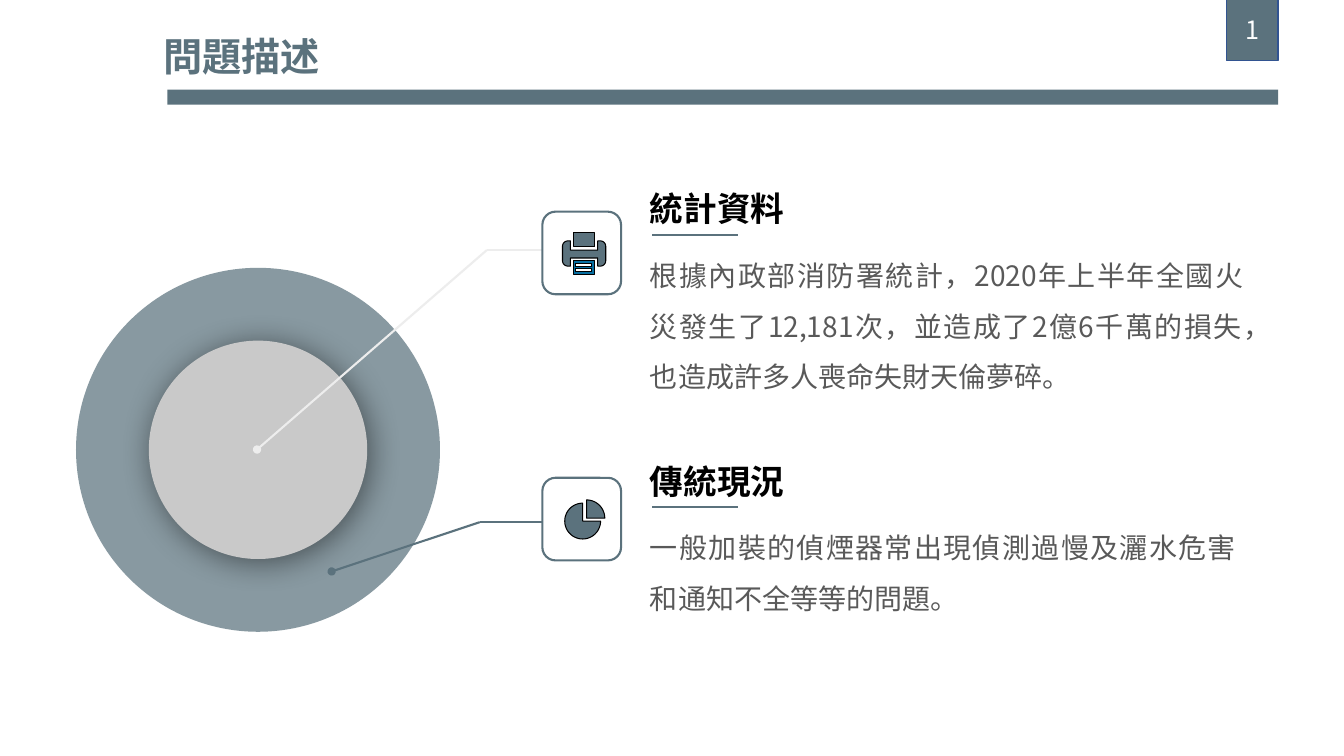
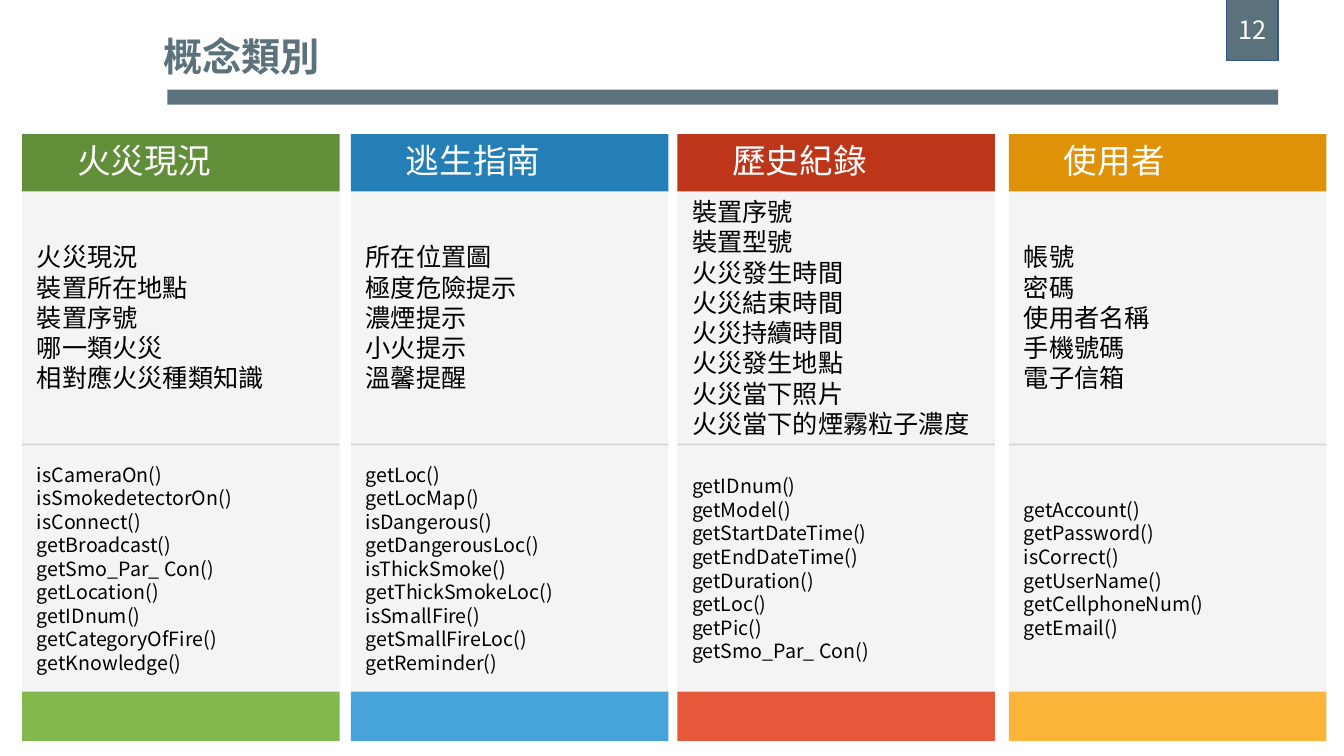
"""Build a problem description slide and a concept class slide."""
import math

import lxml.etree
import pptx
import pptx.dml.color
import pptx.enum.shapes
import pptx.enum.text
import pptx.oxml.ns
import pptx.util

FONT = "Noto Sans CJK SC"
SLATE = pptx.dml.color.RGBColor(0x5B, 0x72, 0x7D)
NAVY = pptx.dml.color.RGBColor(0x32, 0x54, 0x91)
BLUE = pptx.dml.color.RGBColor(0x07, 0x6E, 0xA1)
BLACK = pptx.dml.color.RGBColor(0x00, 0x00, 0x00)
WHITE = pptx.dml.color.RGBColor(0xFF, 0xFF, 0xFF)
BODY_GRAY = pptx.dml.color.RGBColor(0x59, 0x59, 0x59)
DISC_GRAY = pptx.dml.color.RGBColor(0xC9, 0xC9, 0xC9)
RULE_GRAY = pptx.dml.color.RGBColor(0xD6, 0xD6, 0xD6)
PALE_GRAY = pptx.dml.color.RGBColor(0xED, 0xED, 0xED)
PANEL_GRAY = pptx.dml.color.RGBColor(0xF4, 0xF4, 0xF4)
GREEN_DARK = pptx.dml.color.RGBColor(0x61, 0x8E, 0x38)
GREEN = pptx.dml.color.RGBColor(0x81, 0xB9, 0x4F)
SKY_DARK = pptx.dml.color.RGBColor(0x23, 0x7F, 0xB5)
SKY = pptx.dml.color.RGBColor(0x46, 0xA4, 0xDB)
RED_DARK = pptx.dml.color.RGBColor(0xBE, 0x36, 0x19)
RED = pptx.dml.color.RGBColor(0xE5, 0x58, 0x3A)
AMBER_DARK = pptx.dml.color.RGBColor(0xDF, 0x91, 0x07)
AMBER = pptx.dml.color.RGBColor(0xF9, 0xB4, 0x39)

Pt = pptx.util.Pt
qn = pptx.oxml.ns.qn
KIND = pptx.enum.shapes.MSO_SHAPE
ALIGN = pptx.enum.text.PP_ALIGN
ANCHOR = pptx.enum.text.MSO_ANCHOR


def style_shape(shape, fill=None, line=None, width=0.75):
    shape.shadow.inherit = False
    if fill is None:
        shape.fill.background()
    else:
        shape.fill.solid()
        shape.fill.fore_color.rgb = fill
    if line is None:
        shape.line.fill.background()
    else:
        shape.line.color.rgb = line
        shape.line.width = Pt(width)
    return shape


def write_text(shape, text, size, color, bold=False, align=ALIGN.LEFT,
               anchor=ANCHOR.TOP, spacing=None, margin=None, wrap=True):
    frame = shape.text_frame
    frame.word_wrap = wrap
    frame.vertical_anchor = anchor
    if margin is not None:
        frame.margin_left = frame.margin_right = Pt(margin)
        frame.margin_top = frame.margin_bottom = Pt(margin)
    for index, content in enumerate(text.split("\n")):
        paragraph = frame.add_paragraph() if index else frame.paragraphs[0]
        paragraph.alignment = align
        if spacing:
            paragraph.line_spacing = spacing
        run = paragraph.add_run()
        run.text = content
        run.font.size = Pt(size)
        run.font.bold = bold
        run.font.color.rgb = color
        run.font.name = FONT
        lxml.etree.SubElement(run._r.get_or_add_rPr(), qn("a:ea"), typeface=FONT)


presentation = pptx.Presentation()
presentation.slide_width = Pt(960)
presentation.slide_height = Pt(540)

slides = []
for title, number in (("問題描述", "1"), ("概念類別", "12")):
    slide = presentation.slides.add_slide(presentation.slide_layouts[6])
    slides.append(slide)
    band = slide.shapes.add_shape(KIND.RECTANGLE, Pt(119.5), Pt(64), Pt(793.5), Pt(10.8))
    style_shape(band, SLATE)
    title_box = slide.shapes.add_textbox(Pt(109.7), Pt(19.4), Pt(127.5), Pt(41))
    write_text(title_box, title, 28, SLATE, bold=True, wrap=False)
    badge = slide.shapes.add_shape(KIND.RECTANGLE, Pt(876.2), Pt(-0.7), Pt(36.8), Pt(44))
    style_shape(badge, SLATE, NAVY, 1)
    write_text(badge, number, 18, WHITE, align=ALIGN.CENTER, anchor=ANCHOR.MIDDLE)

problem_slide, class_slide = slides
shapes = problem_slide.shapes

outer_disc = shapes.add_shape(KIND.OVAL, Pt(54.3), Pt(191.3), Pt(260), Pt(260))
style_shape(outer_disc, SLATE)
disc_color = outer_disc._element.spPr.find(qn("a:solidFill"))[0]
lxml.etree.SubElement(disc_color, qn("a:alpha"), val="72000")

inner_disc = shapes.add_shape(KIND.OVAL, Pt(106.3), Pt(243.3), Pt(156), Pt(156))
style_shape(inner_disc, DISC_GRAY)
disc_shadow = lxml.etree.SubElement(
    inner_disc._element.spPr.find(qn("a:effectLst")), qn("a:outerShdw"),
    blurRad=str(Pt(23)), dist=str(Pt(3)), dir="2700000", algn="tl", rotWithShape="0")
shadow_color = lxml.etree.SubElement(disc_shadow, qn("a:srgbClr"), val="000000")
lxml.etree.SubElement(shadow_color, qn("a:alpha"), val="48000")

lines = (
    ((347.8, 178.6), (387.4, 178.6), PALE_GRAY, 1.5, False),
    ((347.8, 178.6), (183.6, 321.1), PALE_GRAY, 1.5, True),
    ((342.7, 373), (387.4, 373), SLATE, 1.5, False),
    ((342.7, 373), (236.9, 408.2), SLATE, 1.5, True),
    ((465.8, 167.8), (527, 167.8), SLATE, 1.75, False),
    ((465.8, 362.2), (527, 362.2), SLATE, 1.75, False),
)
for start, end, color, width, has_dot in lines:
    connector = shapes.add_connector(pptx.enum.shapes.MSO_CONNECTOR.STRAIGHT,
                                     *map(Pt, start + end))
    connector.line.color.rgb = color
    connector.line.width = Pt(width)
    if has_dot:
        lxml.etree.SubElement(connector.line._get_or_add_ln(), qn("a:tailEnd"), type="oval")
    lxml.etree.SubElement(connector._element.spPr, qn("a:effectLst"))

topics = (
    (131, 151.2, "統計資料",
     "根據內政部消防署統計，2020年上半年全國火災發生了12,181次，並造成了2億6千萬的損失，"
     "也造成許多人喪命失財天倫夢碎。", 437.8, 112.3),
    (325.4, 341.3, "傳統現況",
     "一般加裝的偵煙器常出現偵測過慢及灑水危害和通知不全等等的問題。", 432.7, 75.6),
)
for top, frame_top, heading, body, body_width, body_height in topics:
    icon_frame = shapes.add_shape(KIND.ROUNDED_RECTANGLE, Pt(387.4), Pt(frame_top),
                                  Pt(56.2), Pt(59))
    style_shape(icon_frame, line=SLATE, width=1.5)
    heading_box = shapes.add_textbox(Pt(457.2), Pt(top), Pt(164.2), Pt(36))
    write_text(heading_box, heading, 24, BLACK, bold=True, align=ALIGN.JUSTIFY)
    body_box = shapes.add_textbox(Pt(457.2), Pt(top + 38.2), Pt(body_width), Pt(body_height))
    write_text(body_box, body, 20, BODY_GRAY, align=ALIGN.JUSTIFY, spacing=1.5)

arc_settings = (
    (428.8, 176, 3.9, -90, 0), (428.8, 186.2, 3.9, 0, 90),
    (405.7, 186.2, 3.9, 90, 180), (405.7, 176, 3.9, 180, 270),
    (416.2, 372.2, 12.8, 0, 270), (419, 370.1, 13, 270, 360),
)
top_right, bottom_right, bottom_left, top_left, pie_arc, slice_arc = [
    [(x + radius * math.cos(math.radians(angle)), y + radius * math.sin(math.radians(angle)))
     for angle in range(first, last + 1, 5)]
    for x, y, radius, first, last in arc_settings]

tray, upper_slot, lower_slot, paper = [
    [(left, top), (left, bottom), (right, bottom), (right, top)]
    for left, top, right, bottom in (
        (409.7, 185.8, 424.8, 195.8), (411.1, 187.9, 422.6, 190.1),
        (411.1, 191.5, 422.6, 193.7), (409.7, 166.3, 424.8, 176.4))]
printer_body = (
    [(407.5, 172.1), (407.5, 178.6), (427, 178.6), (427, 172.1)] + top_right + bottom_right
    + [(427, 190.1), (427, 184.3), (407.5, 184.3), (407.5, 190.1)] + bottom_left + top_left)

icon_parts = (
    (BLUE, [tray, upper_slot[::-1], lower_slot[::-1]]),
    (SLATE, [paper]),
    (SLATE, [printer_body]),
    (SLATE, [[(416.2, 372.2)] + pie_arc]),
    (SLATE, [[(419, 370.1)] + slice_arc]),
)
for fill, contours in icon_parts:
    builder = shapes.build_freeform(*map(Pt, contours[0][0]))
    for index, contour in enumerate(contours):
        points = [(Pt(x), Pt(y)) for x, y in contour]
        if index:
            builder.move_to(*points[0])
        builder.add_line_segments(points[1:], close=True)
    style_shape(builder.convert_to_shape(), fill, BLACK)

classes = (
    (15.8, "火災現況", GREEN_DARK, GREEN,
     ("火災現況", "裝置所在地點", "裝置序號", "哪一類火災", "相對應火災種類知識"),
     ("isCameraOn()", "isSmokedetectorOn()", "isConnect()", "getBroadcast()",
      "getSmo_Par_ Con()", "getLocation()", "getIDnum()", "getCategoryOfFire()",
      "getKnowledge()")),
    (250.6, "逃生指南", SKY_DARK, SKY,
     ("所在位置圖", "極度危險提示", "濃煙提示", "小火提示", "溫馨提醒"),
     ("getLoc()", "getLocMap()", "isDangerous()", "getDangerousLoc()", "isThickSmoke()",
      "getThickSmokeLoc()", "isSmallFire()", "getSmallFireLoc()", "getReminder()")),
    (483.8, "歷史紀錄", RED_DARK, RED,
     ("裝置序號", "裝置型號", "火災發生時間", "火災結束時間", "火災持續時間",
      "火災發生地點", "火災當下照片", "火災當下的煙霧粒子濃度"),
     ("getIDnum()", "getModel()", "getStartDateTime()", "getEndDateTime()",
      "getDuration()", "getLoc()", "getPic()", "getSmo_Par_ Con()")),
    (720.7, "使用者", AMBER_DARK, AMBER,
     ("帳號", "密碼", "使用者名稱", "手機號碼", "電子信箱"),
     ("getAccount()", "getPassword()", "isCorrect()", "getUserName()",
      "getCellphoneNum()", "getEmail()")),
)
for left, name, dark, bright, attributes, methods in classes:
    for top, height, fill in ((136, 358, PANEL_GRAY), (95.8, 41, dark),
                              (494, 35.3, bright), (316.8, 1.4, RULE_GRAY)):
        part = class_slide.shapes.add_shape(KIND.RECTANGLE, Pt(left), Pt(top),
                                            Pt(226.8), Pt(height))
        style_shape(part, fill)
    for indent, top, width, height, text, size, color in (
            (35.7, 100.1, 154.8, 28.1, name, 24, WHITE),
            (7, 136.3, 226.8, 180.7, "\n".join(attributes), 18, BLACK),
            (7, 318, 226.8, 176, "\n".join(methods), 14, BLACK)):
        text_box = class_slide.shapes.add_textbox(Pt(left + indent), Pt(top),
                                                  Pt(width), Pt(height))
        write_text(text_box, text, size, color, anchor=ANCHOR.MIDDLE, margin=3.6)

presentation.save("out.pptx")
